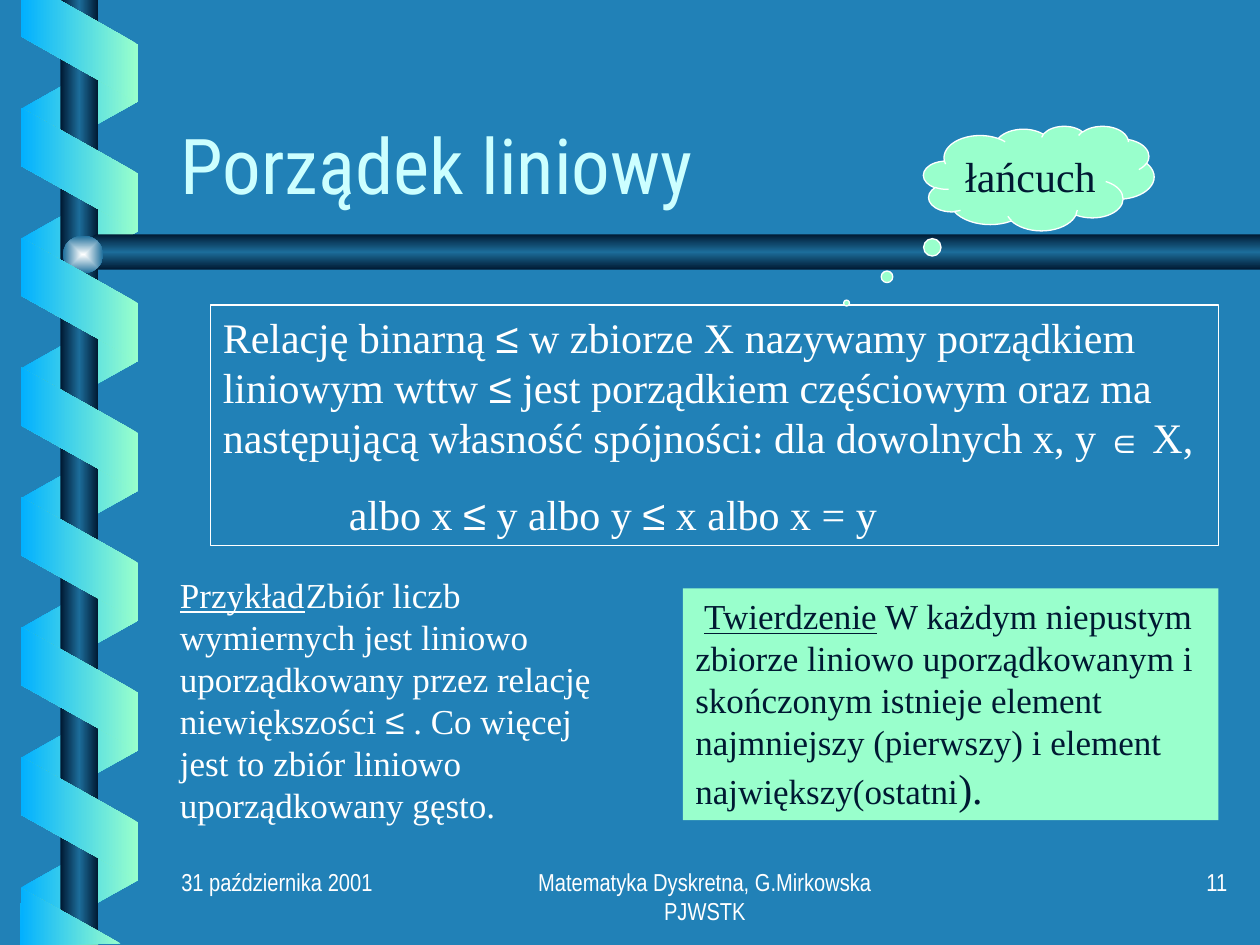
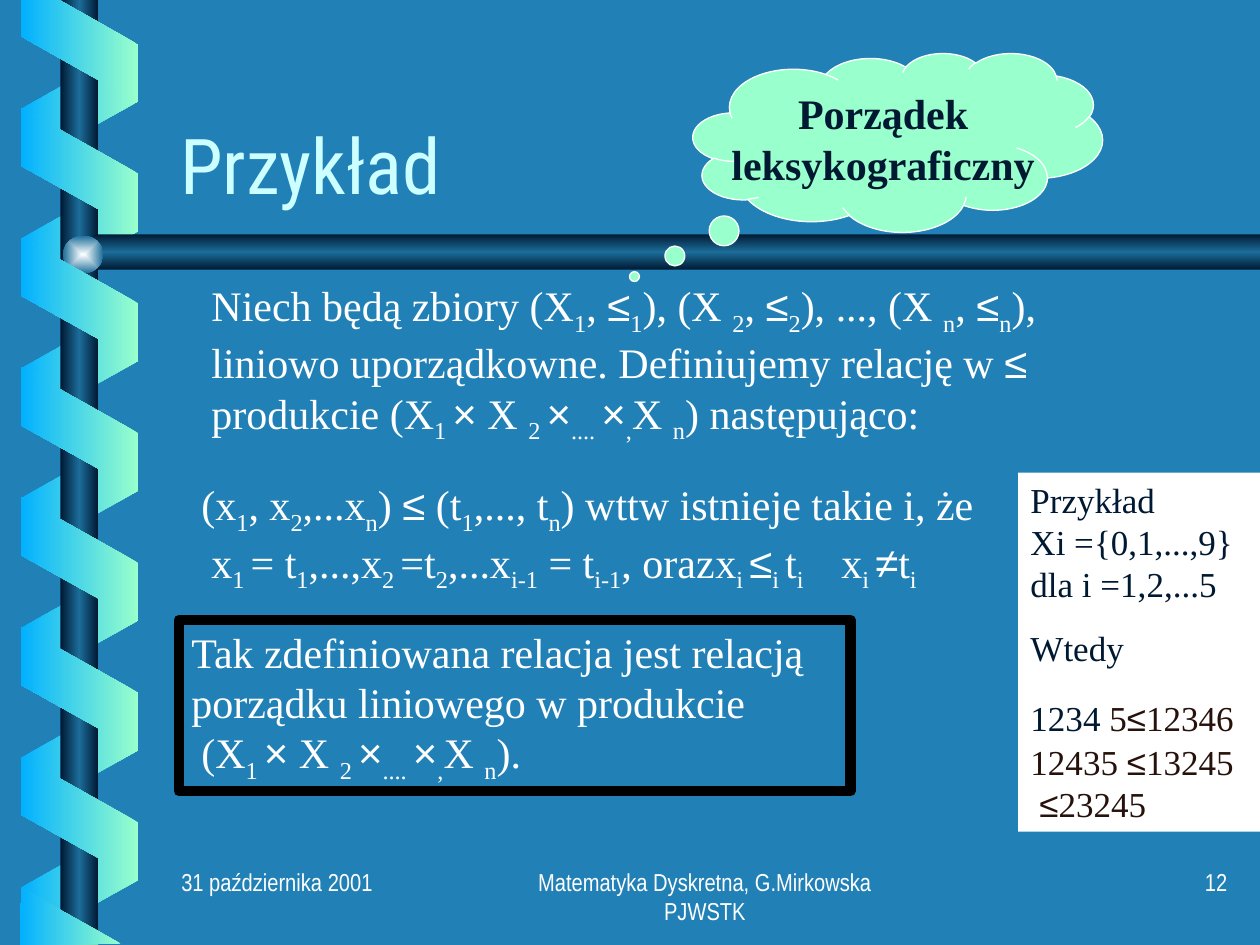
from itertools import groupby

from pptx import Presentation
from pptx.dml.color import RGBColor
from pptx.enum.shapes import MSO_SHAPE
from pptx.enum.text import MSO_ANCHOR, MSO_AUTO_SIZE, PP_ALIGN
from pptx.oxml import parse_xml
from pptx.oxml.ns import nsdecls, qn
from pptx.util import Pt

SCALE = 9144
COLORS = {
    "back": "2181B7", "title": "CCFFFF", "white": "FFFFFF", "black": "000000",
    "dark": "001932", "brown": "27120B", "mint": "99FFCC", "blue": "01B0FF",
    "steel": "1C6D9A", "gleam": "FEFFFF",
}
SERIF, MATH_FONT = "Times New Roman", "Arial"
TITLE_FONT, FOOT_FONT = "Roboto Condensed", "Arial Narrow"
MATH = "≤≠×∈"
SUB, UNDER, BIG, BROWN = MARKS = "~|^@"
PRODUCT = "(X~1 ~× X ~2 ~×~.... ~×~,~X ~n~)"
POLE = [(0, "dark"), (50, "steel"), (100, "dark")]


def px(value):
    return value * SCALE


def place(box):
    return [px(side) for side in box]


def tint(name):
    return RGBColor.from_string(COLORS[name])


def split(text):
    active = frozenset()
    for char in text:
        if char in MARKS:
            active ^= {char}
        else:
            yield char, (active, char if char in MATH else "")


def add_runs(para, text, size, color, font, bold):
    for (active, sign), chars in groupby(split(text), key=lambda pair: pair[1]):
        run = para.add_run()
        run.text = "".join(char for char, _ in chars)
        style = run.font
        style.name = MATH_FONT if sign else font
        style.size = Pt(24 if BIG in active else 20 if sign == "∈" else size)
        style.bold = bold
        style.underline = UNDER in active
        style.color.rgb = tint("brown" if BROWN in active else color)
        if SUB in active:
            run._r.get_or_add_rPr().set("baseline", "-25000")


def set_tabs(para, stops):
    marks = "".join(f'<a:tab pos="{px(stop)}" algn="l"/>' for stop in stops)
    para._p.get_or_add_pPr().append(
        parse_xml(f'<a:tabLst {nsdecls("a")}>{marks}</a:tabLst>'))


def write(shape, lines, size=24, color="white", font=SERIF, bold=False,
          align=PP_ALIGN.LEFT, anchor=MSO_ANCHOR.TOP, wrap=True, space=1.0):
    frame = shape.text_frame
    frame.auto_size = MSO_AUTO_SIZE.NONE
    frame.word_wrap = wrap
    frame.vertical_anchor = anchor
    frame.margin_left = frame.margin_right = px(10)
    frame.margin_top = frame.margin_bottom = px(5)
    for number, line in enumerate(lines):
        text, extra = line if isinstance(line, tuple) else (line, {})
        para = frame.add_paragraph() if number else frame.paragraphs[0]
        para.alignment = align
        para.line_spacing = space
        para.space_before = Pt(extra.get("before", 0))
        props = para._p.get_or_add_pPr()
        props.set("marL", str(px(extra.get("left", 0))))
        props.set("indent", str(px(extra.get("first", 0))))
        if "tabs" in extra:
            set_tabs(para, extra["tabs"])
        add_runs(para, text, size, color, font, bold)


def paint(shape, fill=None, line=None, width=0.75):
    shape.shadow.inherit = False
    if fill:
        shape.fill.solid()
        shape.fill.fore_color.rgb = tint(fill)
    else:
        shape.fill.background()
    if line:
        shape.line.color.rgb = tint(line)
        shape.line.width = Pt(width)
    else:
        shape.line.fill.background()


def blend(shape, stops, angle=None):
    paint(shape)
    points = "".join(
        f'<a:gs pos="{spot * 1000}"><a:srgbClr val="{COLORS[name]}"/></a:gs>'
        for spot, name in stops)
    if angle is None:
        course = ('<a:path path="rect"><a:fillToRect l="50000" t="50000" '
                  'r="50000" b="50000"/></a:path>')
    else:
        course = f'<a:lin ang="{angle * 60000}" scaled="0"/>'
    props = shape.element.spPr
    props.replace(props.find(qn("a:noFill")), parse_xml(
        f'<a:gradFill {nsdecls("a")} rotWithShape="0">'
        f'<a:gsLst>{points}</a:gsLst>{course}</a:gradFill>'))


def add_text(slide, box, lines, **style):
    write(slide.shapes.add_textbox(*place(box)), lines, **style)


def add_panel(slide, box, lines, fill=None, line=None, width=0.75, **style):
    panel = slide.shapes.add_shape(MSO_SHAPE.RECTANGLE, *place(box))
    paint(panel, fill, line, width)
    write(panel, lines, **style)


def add_cloud(slide, box, tail, lines, **style):
    cloud = slide.shapes.add_shape(MSO_SHAPE.CLOUD_CALLOUT, *place(box))
    cloud.adjustments[0], cloud.adjustments[1] = tail
    paint(cloud, "mint", "white")
    write(cloud, lines, color="dark", align=PP_ALIGN.CENTER,
          anchor=MSO_ANCHOR.MIDDLE, wrap=False, **style)


def add_strip(slide, top, front):
    strip = slide.shapes.add_shape(
        MSO_SHAPE.PARALLELOGRAM, *place((14, top, 98, 93)))
    strip.adjustments[0] = 0.56
    strip.rotation = 270 if front else 90
    ends = ("mint", "blue") if front else ("blue", "mint")
    if not front:
        strip.element.spPr.find(qn("a:xfrm")).set("flipH", "1")
    blend(strip, list(zip((0, 100), ends)), 180)


def add_outline(slide, points, stops, angle):
    pen = slide.shapes.build_freeform(*points[0], scale=SCALE)
    pen.add_line_segments(points[1:], close=True)
    blend(pen.convert_to_shape(), stops, angle)


def add_decor(slide):
    for step in range(7):
        add_strip(slide, 37 + 103 * step, front=False)
    pole = slide.shapes.add_shape(MSO_SHAPE.RECTANGLE, *place((48, 0, 30, 750)))
    blend(pole, POLE, 180)
    add_outline(slide, [(1000, 186), (76, 186), (60, 200), (76, 214),
                        (1000, 214)], POLE, 90)
    knob = slide.shapes.add_shape(MSO_SHAPE.OVAL, *place((50, 187, 32, 30)))
    blend(knob, [(0, "gleam"), (100, "steel")])
    for step in range(6):
        add_strip(slide, 88 + 103 * step, front=True)
    ribbon = [(0, "mint"), (100, "blue")]
    add_outline(slide, [(17, 0), (17, 29), (109, 81), (109, 35), (47, 0)],
                ribbon, 180)
    add_outline(slide, [(96, 749), (17, 705), (16, 750)], ribbon, 180)


def share_decor(deck, layout):
    deck.slide_master.background.fill.solid()
    deck.slide_master.background.fill.fore_color.rgb = tint("back")
    slide = deck.slides.add_slide(layout)
    add_decor(slide)
    parts = [shape for shape in slide.shapes if not shape.is_placeholder]
    for number, part in enumerate(parts, 100):
        part.element.xpath(".//p:cNvPr")[0].set("id", str(number))
        layout.shapes.element.append(part.element)
    return slide


def add_frame(slide, title, number):
    head = slide.shapes.title
    head.left, head.top, head.width, head.height = place((133, 46, 850, 125))
    write(head, [title], size=44, color="title", font=TITLE_FONT,
          anchor=MSO_ANCHOR.BOTTOM, space=0.8)
    for left, width, text, align in (
            (401, 317, "Matematyka Dyskretna, G.Mirkowska PJWSTK", PP_ALIGN.CENTER),
            (776, 208, str(number), PP_ALIGN.RIGHT),
            (134, 208, "31 października 2001", PP_ALIGN.LEFT)):
        add_text(slide, (left, 683, width, 50), [text], size=14,
                 font=FOOT_FONT, align=align)


def fill_linear(slide):
    add_frame(slide, "Porządek liniowy", 11)
    add_panel(slide, (167, 242, 800, 191), [
        "Relację binarną ≤ w zbiorze X nazywamy porządkiem liniowym wttw ≤ jest "
        "porządkiem częściowym oraz ma następującą własność spójności: "
        "dla dowolnych x, y ∈ X,",
        ("albo x ≤ y albo y ≤ x albo x = y", {"left": 100, "before": 15}),
    ], line="white")
    add_text(slide, (133, 450, 367, 261), [
        ("|Przykład|\tZbiór liczb wymiernych jest liniowo uporządkowany przez "
         "relację niewiększości ≤ . Co więcej jest to zbiór liniowo "
         "uporządkowany gęsto.", {"tabs": [128]}),
    ], size=20)
    add_cloud(slide, (733, 100, 183, 83), (-0.834, 1.194), ["łańcuch"])
    add_panel(slide, (542, 467, 425, 184), [
        ("|Twierdzenie| W każdym niepustym zbiorze liniowo uporządkowanym i "
         "skończonym istnieje element najmniejszy (pierwszy) i element "
         "największy(ostatni^).^", {"first": 7}),
    ], fill="mint", size=20, color="dark")


def fill_lexical(slide):
    add_frame(slide, "Przykład", 12)
    add_text(slide, (158, 217, 733, 141), [
        "Niech będą zbiory (X~1~, ≤~1~), (X ~2~, ≤~2~), ..., (X ~n~, ≤~n~), "
        "liniowo uporządkowne. Definiujemy relację w ≤ produkcie "
        f"{PRODUCT} następująco:"])
    add_text(slide, (150, 375, 717, 101), [
        "(x~1~, x~2~,...x~n~) ≤ (t~1~,..., t~n~) wttw istnieje takie i, że",
        ("x~1 ~= t~1~,...,x~2 ~=t~2~,...x~i-1~ = t~i-1~, oraz\t"
         "x~i ~≤~i ~t~i~\tx~i ~≠t~i~", {"left": 8, "tabs": [433, 520]})])
    add_panel(slide, (142, 492, 533, 136), [
        "Tak zdefiniowana relacja jest relacją porządku liniowego w produkcie",
        (f"{PRODUCT}.", {"left": 8})], line="black", width=6)
    add_cloud(slide, (550, 42, 325, 142), (-0.643, 0.75),
              ["Porządek", "leksykograficzny"], bold=True)
    add_panel(slide, (808, 375, 192, 285), [
        "Przykład", "Xi ={0,1,...,9}", "dla i =1,2,...5",
        ("Wtedy", {"before": 12.5}),
        ("1234@ 5≤12346@", {"before": 16}),
        ("@12435 ≤13245@", {"before": 1}),
        ("@≤23245@", {"left": 7})], fill="white", size=20, color="dark")


def main():
    deck = Presentation()
    deck.slide_width, deck.slide_height = px(1000), px(750)
    layout = deck.slide_layouts.get_by_name("Title Only")
    fill_linear(share_decor(deck, layout))
    fill_lexical(deck.slides.add_slide(layout))
    deck.save("out.pptx")


if __name__ == "__main__":
    main()
